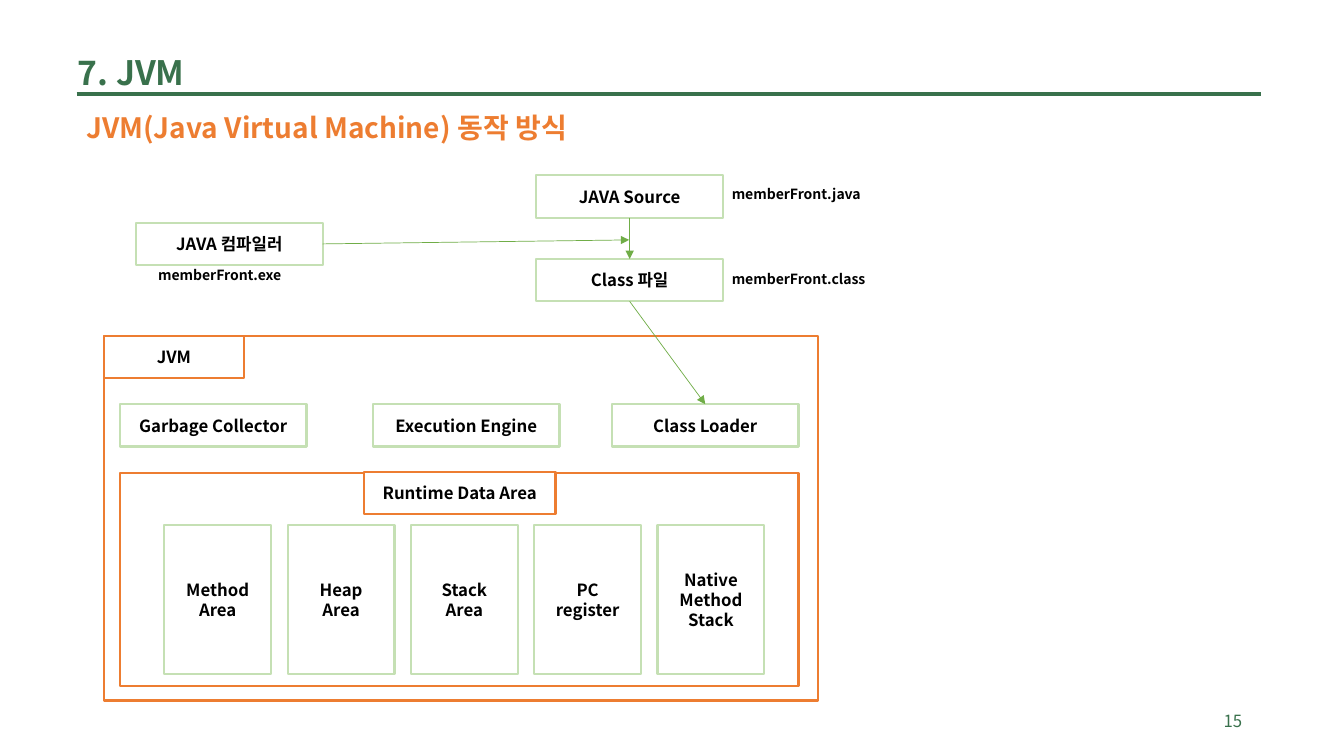
from lxml import etree
from pptx import Presentation
from pptx.dml.color import RGBColor
from pptx.enum.shapes import MSO_CONNECTOR, MSO_SHAPE
from pptx.enum.text import MSO_ANCHOR, MSO_AUTO_SIZE, PP_ALIGN
from pptx.oxml.ns import qn
from pptx.util import Inches, Pt

FONT = "Noto Sans CJK KR"
HUES = {"dark": "39714C", "orange": "ED7D31", "pale": "C5E0B4",
        "green": "70AD47", "white": "FFFFFF", "black": "000000"}
WIDE, HIGH = 1.85, 0.42  # common label box


def color(name):
    return RGBColor.from_string(HUES[name])


def write(shape, text, size, hue, bold=True, align=PP_ALIGN.LEFT,
          anchor=MSO_ANCHOR.TOP, space=1.0):
    frame = shape.text_frame
    frame.text = text
    look = {"word_wrap": True, "auto_size": MSO_AUTO_SIZE.NONE,
            "vertical_anchor": anchor}
    for key, value in look.items():
        setattr(frame, key, value)
    for para in frame.paragraphs:
        para.alignment = align
        para.line_spacing = space
        for run in para.runs:
            style = {"name": FONT, "size": Pt(size), "bold": bold}
            for key, value in style.items():
                setattr(run.font, key, value)
            run.font.color.rgb = color(hue)
            # East Asian face for the Korean words
            east = etree.SubElement(run.font._element, qn("a:ea"))
            east.set("typeface", FONT)


def label(slide, area, text, size, hue="black", **look):
    shape = slide.shapes.add_textbox(*map(Inches, area))
    write(shape, text, size, hue, **look)


def box(slide, area, text="", edge="pale"):
    shape = slide.shapes.add_shape(MSO_SHAPE.RECTANGLE, *map(Inches, area))
    shape.shadow.inherit = False
    shape.line.color.rgb = color(edge)
    shape.line.width = Pt(1.5)
    if text:
        shape.fill.solid()
        shape.fill.fore_color.rgb = color("white")
        write(shape, text, 12, "black", align=PP_ALIGN.CENTER,
              anchor=MSO_ANCHOR.MIDDLE)
    else:
        shape.fill.background()
    return shape


def line(slide, start, end, hue, width):
    link = slide.shapes.add_connector(
        MSO_CONNECTOR.STRAIGHT, *map(Inches, start + end))
    link.line.color.rgb = color(hue)
    link.line.width = Pt(width)
    etree.SubElement(link._element.spPr, qn("a:effectLst"))
    return link


def arrow(slide, start, end, source, side, target=None):
    link = line(slide, start, end, "green", 0.5)
    link.begin_connect(source, side)
    if target is not None:
        link.end_connect(target, 0)
    tip = etree.SubElement(link.line._get_or_add_ln(), qn("a:tailEnd"))
    tip.set("type", "triangle")


def main():
    deck = Presentation()
    deck.slide_width, deck.slide_height = Inches(13.33), Inches(7.5)
    slide = deck.slides.add_slide(deck.slide_layouts[5])

    # Heading and page number
    title = slide.shapes.title
    place = {"left": 0.67, "top": 0.26, "width": 4.71, "height": 0.63}
    for key, value in place.items():
        setattr(title, key, Inches(value))
    write(title, "7. JVM", 24, "dark", space=1.5)
    label(slide, (9.42, 6.95, 3, 0.4), "15", 12, "dark", bold=False,
          align=PP_ALIGN.RIGHT, anchor=MSO_ANCHOR.MIDDLE)
    line(slide, (0.76, 0.93), (12.51, 0.93), "dark", 3)
    label(slide, (0.76, 1.05, 8.12, 0.44),
          "JVM(Java Virtual Machine) 동작 방식", 20, "orange")

    # Compile steps
    tool = box(slide, (1.35, 2.21, WIDE, HIGH), "JAVA 컴파일러")
    code = box(slide, (5.32, 1.74, WIDE, HIGH), "JAVA Source")
    made = box(slide, (5.32, 2.57, WIDE, HIGH), "Class 파일")
    arrow(slide, (6.24, 2.16), (6.24, 2.57), code, 2, made)
    arrow(slide, (3.2, 2.42), (6.24, 2.38), tool, 3)

    # JVM frame and its parts
    box(slide, (1.03, 3.33, 7.08, 3.62), edge="orange")
    box(slide, (1.03, 3.33, 1.39, HIGH), "JVM", "orange")
    parts = {"Garbage Collector": 1.19, "Execution Engine": 3.7,
             "Class Loader": 6.07}
    for name, left in parts.items():
        part = box(slide, (left, 4.01, WIDE, HIGH), name)
    arrow(slide, (6.24, 2.99), (7, 4.01), made, 2, part)

    # Runtime memory areas
    box(slide, (1.19, 4.69, 6.73, 2.12), edge="orange")
    box(slide, (3.61, 4.68, 1.9, HIGH), "Runtime Data Area", "orange")
    areas = ["Method Area", "Heap\nArea", "Stack\nArea", "PC\nregister",
             "Native\nMethod\nStack"]
    for index, name in enumerate(areas):
        box(slide, (1.63 + index * 1.223, 5.21, 1.06, 1.48), name)

    # File names
    files = {"memberFront.exe": (1.47, 2.59), "memberFront.java": (7.16, 1.79),
             "memberFront.class": (7.16, 2.63)}
    for name, spot in files.items():
        label(slide, spot + (1.57, 0.27), name, 10)

    deck.save("out.pptx")


if __name__ == "__main__":
    main()
